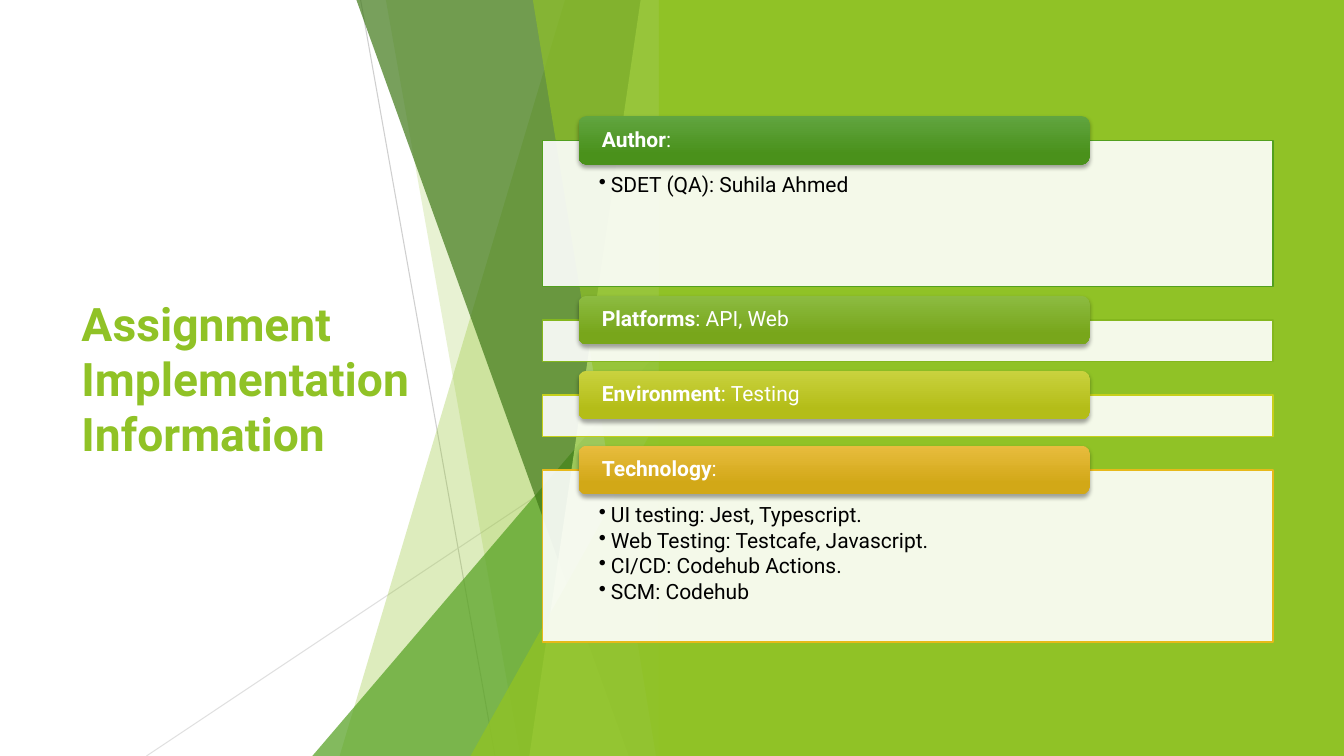
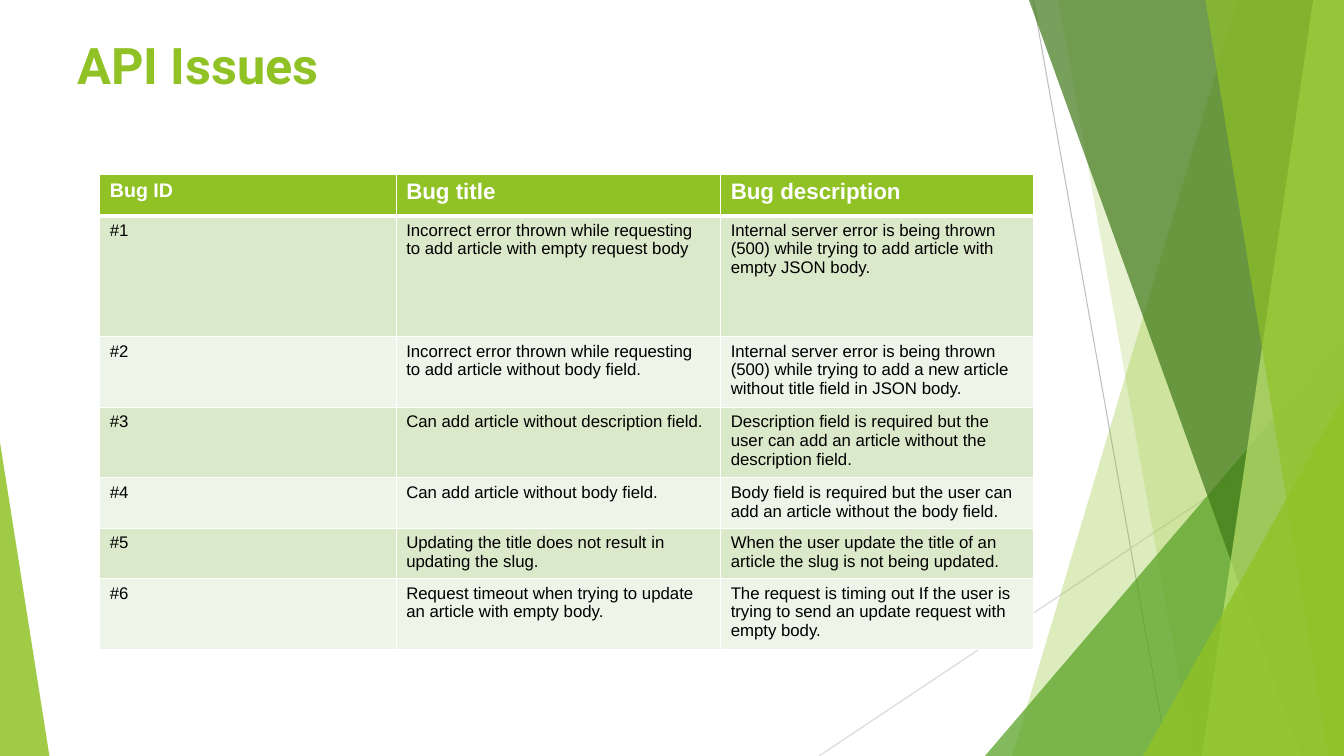
from lxml import etree
from pptx import Presentation
from pptx import util as u
from pptx.dml import color
from pptx.enum import shapes, text
from pptx.oxml import ns

WIDTH, HEIGHT = 960, 540
GREEN, WHITE, BLACK = "90C226", "FFFFFF", "000000"
HEADING_FONT, TABLE_FONT = "Roboto", "Arial"

RAYS = [(738, 0, 834, 540, "BFBFBF", 75), (960, 290, 585, 540, "D8D8D8", 80)]
FACETS = [
    ("band", 884, 723, GREEN, 30),
    ("band", 756, 852, GREEN, 20),
    ("peak", 703.5, 240, "54A021", 72),
    ("band", 735, 929.5, "3F7818", 70),
    ("band", 938, 858.5, "BFE471", 70),
    ("band", 861, 949, GREEN, 65),
    ("peak", 816.5, 283, GREEN, 80),
]

SECTIONS = [
    ("Author", ":", ["SDET (QA): Suhila Ahmed"], 104.4, "52A01E", "61A540", "4A911B"),
    ("Platforms", ": API, Web", [], 29.5, "84B71E", "8CBB41", "78A61B"),
    ("Environment", ": Testing", [], 29.5, "C6D01B", "C9D23E", "B4BD18"),
    ("Technology", ":", [
        "UI testing: Jest, Typescript.",
        "Web Testing: Testcafe, Javascript.",
        "CI/CD: Codehub Actions.",
        "SCM: Codehub",
    ], 123, "E7B91A", "E8BC3E", "D2A817"),
]

HEADERS = [("Bug ID", 14), ("Bug title", 16), ("Bug description", 16)]
BUGS = [
    ("Incorrect error thrown while requesting to add article with empty request body",
     "Internal server error is being thrown (500) while trying to add article with empty JSON body."),
    ("Incorrect error thrown while requesting to add article without body field.",
     "Internal server error is being thrown (500) while trying to add a new article "
     "without title field in JSON body."),
    ("Can add article without description field.",
     "Description field is required but the user can add an article without the description field."),
    ("Can add article without body field.",
     "Body field is required but the user can add an article without the body field."),
    ("Updating the title does not result in updating the slug.",
     "When the user update the title of an article the slug is not being updated."),
    ("Request timeout when trying to update an article with empty body.",
     "The request is timing out If the user is trying to send an update request with empty body."),
]
COLUMN_WIDTHS = [211.7, 231.8, 223.2]
ROW_HEIGHTS = [29.5, 86.4, 29.5, 29.5, 29.5, 29.5, 49.7]


def rgb(code):
    return color.RGBColor.from_string(code)


def points(*values):
    return [u.Pt(value) for value in values]


def add_xml(parent, tag, **attributes):
    child = etree.SubElement(parent, ns.qn(tag))
    for name, value in attributes.items():
        child.set(name, str(value))
    return child


def set_opacity(item, percent):
    if percent < 100:
        tint = item.element.spPr.find(".//" + ns.qn("a:srgbClr"))
        add_xml(tint, "a:alpha", val=percent * 1000)


def paint(shape, fill, opacity=100, line=None):
    shape.shadow.inherit = False
    shape.fill.solid()
    shape.fill.fore_color.rgb = rgb(fill)
    set_opacity(shape, opacity)
    if line:
        shape.line.color.rgb = rgb(line)
        shape.line.width = u.Pt(1)
    else:
        shape.line.fill.background()


def add_preset(page, kind, left, top, width, height, fill, adjust=None, **style):
    shape = page.shapes.add_shape(kind, *points(left, top, width, height))
    if adjust is not None:
        shape.adjustments[0] = adjust
    paint(shape, fill, **style)
    return shape


def add_ray(page, x1, y1, x2, y2, tint, opacity):
    ray = page.shapes.add_connector(shapes.MSO_CONNECTOR.STRAIGHT, *points(x1, y1, x2, y2))
    ray.line.color.rgb = rgb(tint)
    ray.line.width = u.Pt(0.75)
    set_opacity(ray, opacity)
    add_xml(ray.element.spPr, "a:effectLst")


def add_band(page, top_left, bottom_left, right, fill, opacity):
    outline = page.shapes.build_freeform(*points(top_left, 0))
    corners = [(right, 0), (right, HEIGHT), (bottom_left, HEIGHT)]
    outline.add_line_segments([points(*corner) for corner in corners], close=True)
    paint(outline.convert_to_shape(), fill, opacity)


def add_facets(page, right, ray_opacity=True):
    shift = right - WIDTH
    for x1, y1, x2, y2, tint, opacity in RAYS:
        add_ray(page, x1 + shift, y1, x2 + shift, y2, tint, opacity if ray_opacity else 100)
    for kind, start, end, fill, opacity in FACETS:
        if kind == "band":
            add_band(page, start + shift, end + shift, right, fill, opacity)
        else:
            add_preset(page, shapes.MSO_SHAPE.ISOSCELES_TRIANGLE, start + shift, end,
                       WIDTH - start, HEIGHT - end, fill, adjust=1, opacity=opacity)


def write(para, content, size=15, tint=BLACK, font=HEADING_FONT, bold=False):
    span = para.add_run()
    span.text = content
    span.font.size = u.Pt(size)
    span.font.name = font
    span.font.bold = bold
    span.font.color.rgb = rgb(tint)


def set_frame(frame, anchor, side, top=0, bottom=0):
    frame.word_wrap = True
    frame.vertical_anchor = anchor
    frame.margin_left = frame.margin_right = u.Pt(side)
    frame.margin_top, frame.margin_bottom = points(top, bottom)


def add_title(page, content, left, top, width, height, size, anchor):
    box = page.shapes.add_textbox(*points(left, top, width, height))
    set_frame(box.text_frame, anchor, 7.2, 3.6, 3.6)
    write(box.text_frame.paragraphs[0], content, size=size, tint=GREEN, bold=True)


def set_bullet(para):
    props = para._p.get_or_add_pPr()
    props.set("marL", str(u.Pt(8.64)))
    props.set("indent", str(u.Pt(-8.64)))
    add_xml(props, "a:buChar", char="•")


def add_panel(page, top, height, line, items):
    panel = add_preset(page, shapes.MSO_SHAPE.RECTANGLE, 387.4, top, 522, height, WHITE,
                       opacity=90, line=line)
    frame = panel.text_frame
    set_frame(frame, text.MSO_ANCHOR.TOP, 40.3, 24.5, 8.6)
    for index, item in enumerate(items):
        para = frame.add_paragraph() if index else frame.paragraphs[0]
        para.alignment = text.PP_ALIGN.LEFT
        para.line_spacing = 0.9
        para.space_before = u.Pt(2.2)
        set_bullet(para)
        write(para, item)


def add_tab(page, top, label, detail, light, dark):
    tab = add_preset(page, shapes.MSO_SHAPE.ROUNDED_RECTANGLE, 413.3, top, 365, 34.6, dark,
                     adjust=0.167)
    tab.fill.gradient()
    tab.fill.gradient_angle = 270
    for stop, tint, position in zip(tab.fill.gradient_stops, (light, dark), (0, 0.78)):
        stop.color.rgb = rgb(tint)
        stop.position = position
    effects = tab.element.spPr.find(ns.qn("a:effectLst"))
    shadow = add_xml(effects, "a:outerShdw", blurRad=u.Pt(3), dist=u.Pt(2),
                     dir=5400000, rotWithShape=0)
    add_xml(add_xml(shadow, "a:srgbClr", val=BLACK), "a:alpha", val=35000)
    set_frame(tab.text_frame, text.MSO_ANCHOR.MIDDLE, 15)
    para = tab.text_frame.paragraphs[0]
    para.alignment = text.PP_ALIGN.LEFT
    para.line_spacing = 0.9
    write(para, label, tint=WHITE, bold=True)
    write(para, detail, tint=WHITE)


def set_borders(cell, bottom):
    props = cell._tc.get_or_add_tcPr()
    for index, side in enumerate("LRTB"):
        edge = add_xml(props, "a:ln" + side, w=u.Pt(bottom if side == "B" else 1))
        add_xml(add_xml(edge, "a:solidFill"), "a:srgbClr", val=WHITE)
        props.insert(index, edge)


def fill_cell(cell, content, fill, bottom=1, **style):
    cell.fill.solid()
    cell.fill.fore_color.rgb = rgb(fill)
    set_borders(cell, bottom)
    write(cell.text_frame.paragraphs[0], content, font=TABLE_FONT, **style)


def add_bug_table(page, left, top):
    frame = page.shapes.add_table(len(ROW_HEIGHTS), len(COLUMN_WIDTHS), *points(
        left, top, sum(COLUMN_WIDTHS), sum(ROW_HEIGHTS)))
    table = frame.table
    table.first_row = table.horz_banding = False
    for column, width in zip(table.columns, COLUMN_WIDTHS):
        column.width = u.Pt(width)
    for row, height in zip(table.rows, ROW_HEIGHTS):
        row.height = u.Pt(height)
    for column, (header, size) in enumerate(HEADERS):
        fill_cell(table.cell(0, column), header, GREEN, bottom=3, size=size, tint=WHITE, bold=True)
    for number, bug in enumerate(BUGS, 1):
        fill = "DBE9CB" if number % 2 else "EEF4E7"
        for column, content in enumerate((f"#{number}", *bug)):
            fill_cell(table.cell(number, column), content, fill, size=12)


def build_information(page):
    add_title(page, "Assignment Implementation Information", 51.1, 108.7, 279.4, 322.6, 33,
              text.MSO_ANCHOR.MIDDLE)
    add_facets(page, 479.6)
    add_preset(page, shapes.MSO_SHAPE.RECTANGLE, 470.6, 0, WIDTH - 470.6, HEIGHT, GREEN)
    top = 100.2
    for label, detail, items, height, line, light, dark in SECTIONS:
        add_panel(page, top, height, line, items)
        add_tab(page, top - 17.3, label, detail, light, dark)
        top += height + 24


def build_issues(page):
    add_facets(page, WIDTH, ray_opacity=False)
    add_preset(page, shapes.MSO_SHAPE.ISOSCELES_TRIANGLE, 0, 316, 35.3, 224, GREEN,
               adjust=0, opacity=85)
    add_title(page, "API Issues", 48.2, 20.9, 676.8, 103.7, 36, text.MSO_ANCHOR.TOP)
    add_bug_table(page, 71.3, 124.6)


def main():
    deck = Presentation()
    deck.slide_width, deck.slide_height = points(WIDTH, HEIGHT)
    for build in (build_information, build_issues):
        build(deck.slides.add_slide(deck.slide_layouts[6]))
    deck.save("out.pptx")


main()
